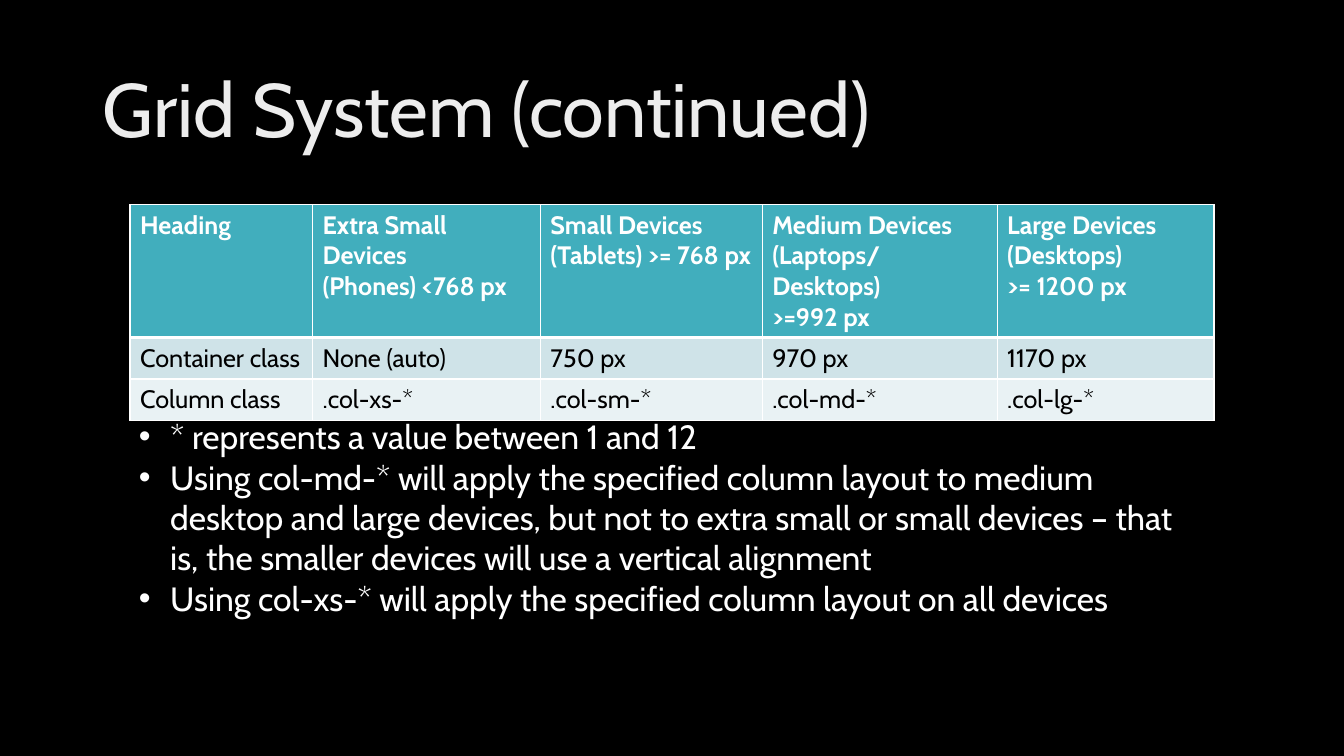
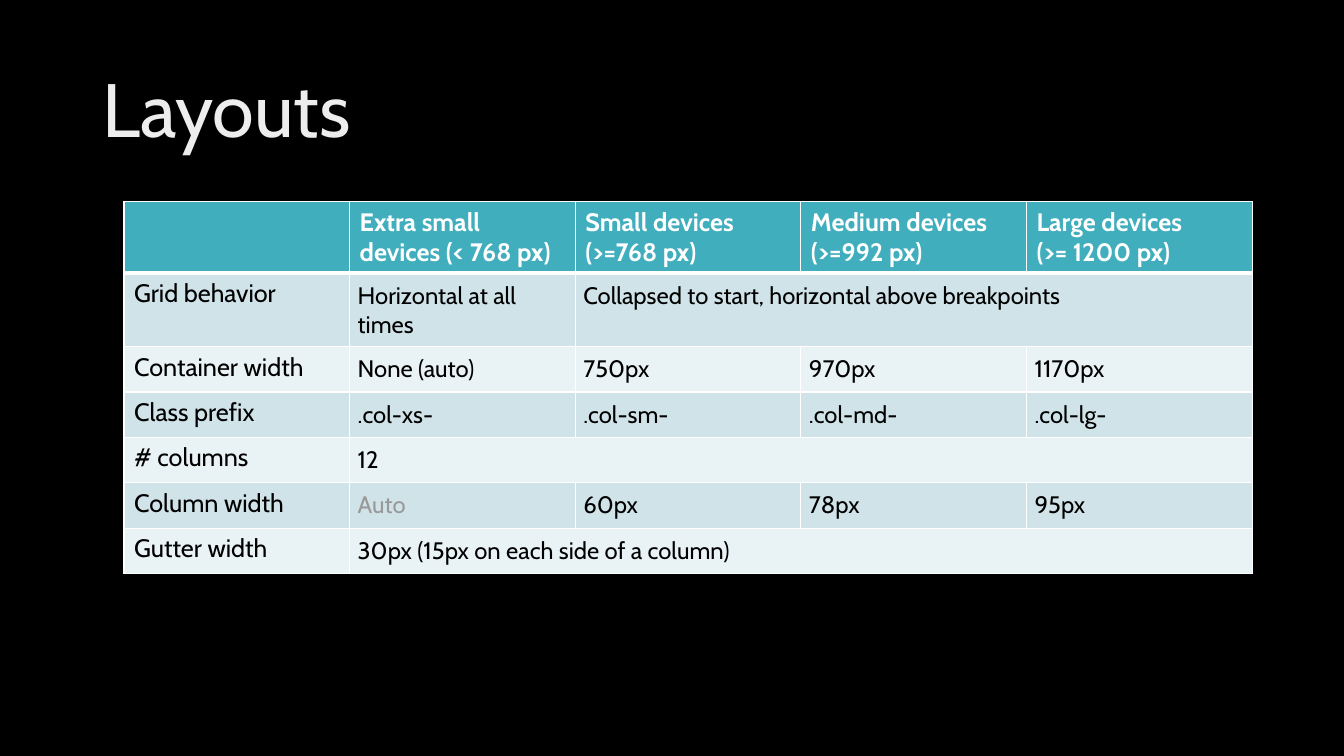
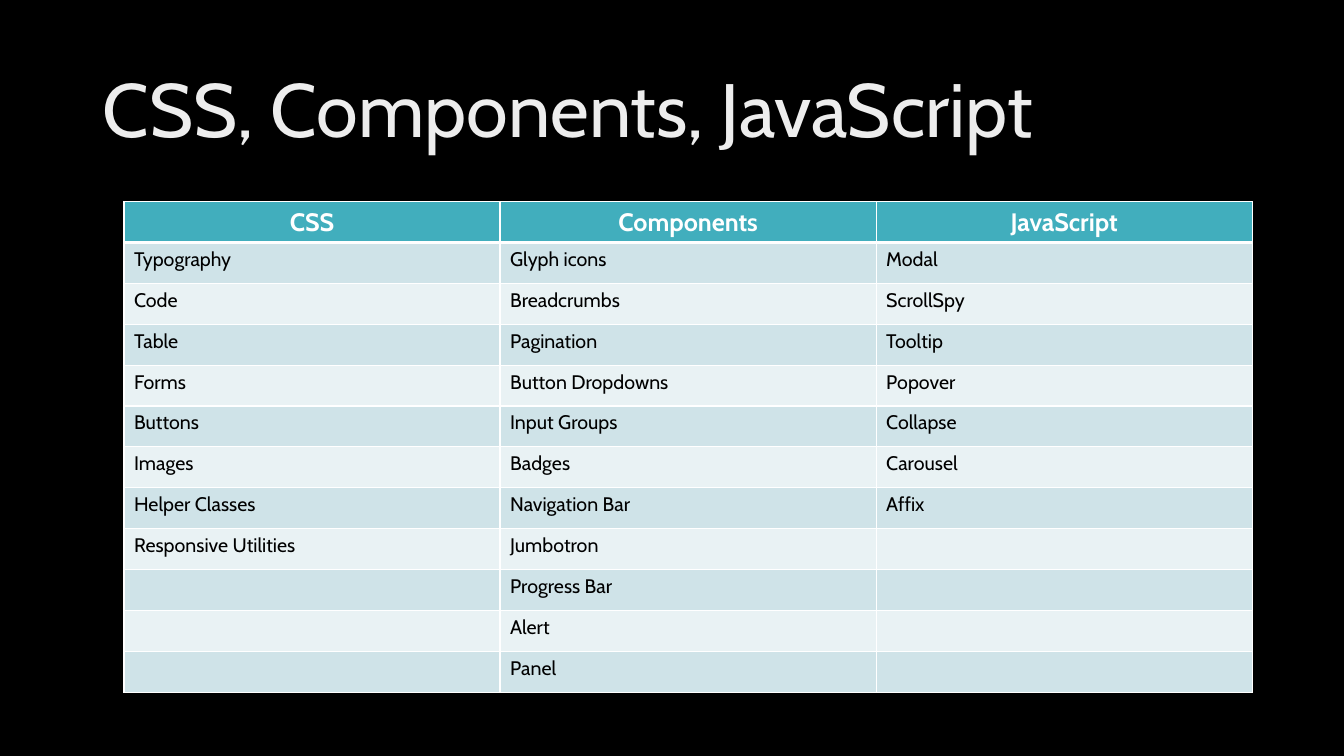
from itertools import zip_longest

from lxml.etree import SubElement
from pptx import Presentation
from pptx.dml.color import RGBColor
from pptx.enum.text import MSO_ANCHOR, PP_ALIGN
from pptx.oxml.ns import qn
from pptx.util import Inches, Pt

BLACK = RGBColor(0x00, 0x00, 0x00)
WHITE = RGBColor(0xFF, 0xFF, 0xFF)
TITLE_GRAY = RGBColor(0xED, 0xED, 0xED)
MUTED_GRAY = RGBColor(0x99, 0x99, 0x99)
TEAL = RGBColor(0x41, 0xAE, 0xBD)
BANDS = [RGBColor(0xCF, 0xE3, 0xE8), RGBColor(0xE9, 0xF2, 0xF4)]
FONT = "Cabin"


def write(frame, text, size=18, color=BLACK, bold=False,
          align=PP_ALIGN.LEFT, spacing=None, bullet=False):
    """Fill a text frame, one paragraph for each line of text."""
    for number, line in enumerate(text.split("\n")):
        para = frame.paragraphs[0] if number == 0 else frame.add_paragraph()
        para.text = line
        para.alignment = align
        if spacing:
            para.line_spacing = spacing
        if bullet:
            add_bullet(para)
        for span in para.runs:
            span.font.name = FONT
            span.font.size = Pt(size)
            span.font.bold = bold
            span.font.color.rgb = color


def add_bullet(para):
    """Give a paragraph a round bullet and a hanging indent."""
    properties = para._p.get_or_add_pPr()
    properties.set("marL", str(Inches(0.31)))
    properties.set("indent", str(Inches(-0.31)))
    SubElement(properties, qn("a:buFont"), typeface="Arial")
    SubElement(properties, qn("a:buChar"), char="\u2022")


def add_border(cell, edge, width):
    """Draw one white edge of a table cell."""
    properties = cell._tc.get_or_add_tcPr()
    line = SubElement(properties, qn("a:" + edge), w=str(Pt(width)))
    fill = SubElement(line, qn("a:solidFill"))
    SubElement(fill, qn("a:srgbClr"), val=str(WHITE))


class SlideBuilder:
    """Holds the deck, its style and the current slide."""

    def __init__(self):
        """Start a black widescreen deck."""
        self.deck = Presentation()
        self.deck.slide_width = Inches(13.33)
        self.deck.slide_height = Inches(7.5)
        background = self.deck.slide_master.background.fill
        background.solid()
        background.fore_color.rgb = BLACK
        self.page = None

    def new_page(self, title):
        """Add a slide with its title."""
        self.page = self.deck.slides.add_slide(self.deck.slide_layouts[6])
        self.text_box(title, 0.92, 0.4, 11.5, 1.45, anchor=MSO_ANCHOR.MIDDLE,
                      size=54, color=TITLE_GRAY, spacing=0.9)

    def text_box(self, text, left, top, width, height,
                 anchor=MSO_ANCHOR.TOP, **style):
        """Add a wrapping text box."""
        box = self.page.shapes.add_textbox(
            Inches(left), Inches(top), Inches(width), Inches(height))
        box.text_frame.word_wrap = True
        box.text_frame.vertical_anchor = anchor
        write(box.text_frame, text, **style)

    def table(self, rows, left, top, widths, heights, header_align=PP_ALIGN.LEFT,
              label_size=18, value_size=18, value_inset=None):
        """Add a banded table; a None cell joins the cell on its left."""
        table = self.page.shapes.add_table(
            len(rows), len(widths), Inches(left), Inches(top),
            Inches(sum(widths)), Inches(sum(heights))).table
        for column, width in zip(table.columns, widths):
            column.width = Inches(width)
        for row, height in zip(table.rows, heights):
            row.height = Inches(height)
        for row_number, row in enumerate(rows):
            for column_number, text in enumerate(row):
                cell = table.cell(row_number, column_number)
                self.paint_cell(cell, row_number)
                if not text:
                    continue
                if row_number == 0:
                    write(cell.text_frame, text, color=WHITE, bold=True,
                          align=header_align)
                elif column_number == 0:
                    write(cell.text_frame, text, size=label_size)
                else:
                    write(cell.text_frame, text, size=value_size)
                    if value_inset:
                        cell.margin_left = cell.margin_right = Inches(value_inset)
                        cell.margin_top = cell.margin_bottom = Inches(value_inset)
            if None in row:
                first = row.index(None) - 1
                table.cell(row_number, first).merge(
                    table.cell(row_number, len(row) - 1))
        return table

    def paint_cell(self, cell, row_number):
        """Give a cell its borders and its header or band fill."""
        is_header = row_number == 0
        add_border(cell, "lnL", 1)
        add_border(cell, "lnR", 1)
        if is_header:
            add_border(cell, "lnT", 1)
        add_border(cell, "lnB", 3 if is_header else 1)
        cell.fill.solid()
        cell.fill.fore_color.rgb = TEAL if is_header else BANDS[(row_number - 1) % 2]


def build_grid_system(builder):
    """Build the slide on device classes."""
    builder.new_page("Grid System (continued)")
    builder.table([
        ["Heading", "Extra Small Devices\n(Phones) <768 px",
         "Small Devices\v(Tablets) >= 768 px",
         "Medium Devices\n(Laptops/Desktops)\n>=992 px",
         "Large Devices\n(Desktops)\n>= 1200 px"],
        ["Container class", "None (auto)", "750 px", "970 px", "1170 px"],
        ["Column class", ".col-xs-*", ".col-sm-*", ".col-md-*", ".col-lg-*"],
    ], 1.29, 2.03, [1.81, 2.26, 2.2, 2.33, 2.15], [1.32, 0.41, 0.41])
    builder.text_box(
        "* represents a value between 1 and 12\n"
        "Using col-md-* will apply the specified column layout to medium desktop "
        "and large devices, but not to extra small or small devices \u2013 that is, "
        "the smaller devices will use a vertical alignment\n"
        "Using col-xs-* will apply the specified column layout on all devices",
        1.28, 4.08, 10.75, 2.12, size=24, color=WHITE, bullet=True)


def build_layouts(builder):
    """Build the slide on layout values."""
    builder.new_page("Layouts")
    table = builder.table([
        ["", "Extra small devices (< 768 px)", "Small devices\n(>=768 px)",
         "Medium devices\n(>=992 px)", "Large devices\n(>= 1200 px)"],
        ["Grid behavior", "Horizontal at all times",
         "Collapsed to start, horizontal above breakpoints", None, None],
        ["Container width", "None (auto)", "750px", "970px", "1170px"],
        ["Class prefix", ".col-xs-", ".col-sm-", ".col-md-", ".col-lg-"],
        ["# columns", "12", None, None, None],
        ["Column width", "Auto", "60px", "78px", "95px"],
        ["Gutter width", "30px (15px on each side of a column)", None, None, None],
    ], 1.23, 2, [11.19 / 5] * 5, [0.71, 0.73] + [0.45] * 5,
        value_size=17, value_inset=0.08)
    write(table.cell(5, 1).text_frame, "Auto", size=17, color=MUTED_GRAY)


def build_features(builder):
    """Build the slide that lists the parts of the framework."""
    styles = ["CSS", "Typography", "Code", "Table", "Forms", "Buttons", "Images",
              "Helper Classes", "Responsive Utilities"]
    components = ["Components", "Glyph icons", "Breadcrumbs", "Pagination",
                  "Button Dropdowns", "Input Groups", "Badges", "Navigation Bar",
                  "Jumbotron", "Progress Bar", "Alert", "Panel"]
    scripts = ["JavaScript", "Modal", "ScrollSpy", "Tooltip", "Popover",
               "Collapse", "Carousel", "Affix"]
    rows = list(zip_longest(styles, components, scripts, fillvalue=""))
    builder.new_page("CSS, Components, JavaScript")
    builder.table(rows, 1.23, 2, [11.19 / 3] * 3, [4.87 / len(rows)] * len(rows),
                  header_align=PP_ALIGN.CENTER, label_size=14, value_size=14)


def main():
    """Build and save the deck."""
    builder = SlideBuilder()
    build_grid_system(builder)
    build_layouts(builder)
    build_features(builder)
    builder.deck.save("out.pptx")


main()
